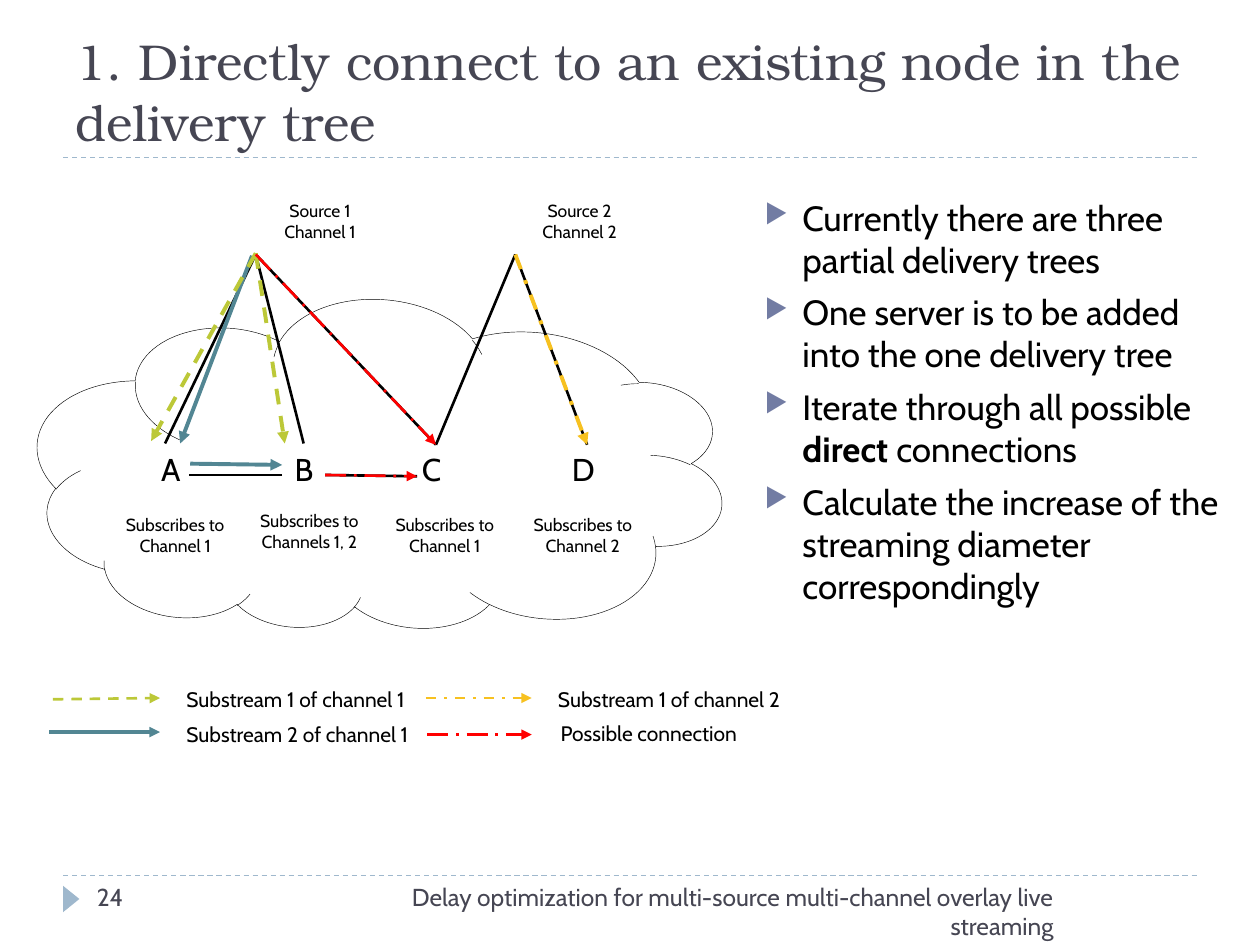
import pptx
import pptx.util
import pptx.dml.color
import pptx.enum.dml
import pptx.enum.shapes
import pptx.enum.text
import pptx.oxml.ns
from lxml import etree

COLORS = {
    "ink": "000000", "heading": "464653", "paper": "FFFFFF", "rule": "9FB8CD",
    "bullet": "727CA3", "teal": "528693", "lime": "BCC838", "amber": "F7C120",
    "red": "FF0000",
}
DASH = pptx.enum.dml.MSO_LINE
ALIGN = pptx.enum.text.PP_ALIGN
ANCHOR = pptx.enum.text.MSO_ANCHOR
SHAPE = pptx.enum.shapes.MSO_SHAPE
COLUMNS, ROWS = 10, 7.5


def rgb(name):
    return pptx.dml.color.RGBColor.from_string(COLORS[name])


def add_xml(parent, tag, **attrs):
    return etree.SubElement(parent, pptx.oxml.ns.qn(tag), attrs)


def write(p, text, size=10, color="ink", font="Cabin", bold=False):
    """Add one formatted run to a paragraph."""
    r = p.add_run()
    r.text = text
    r.font.size = pptx.util.Pt(size)
    r.font.name = font
    r.font.bold = bold
    r.font.color.rgb = rgb(color)


class Deck:
    """Holds the grid, the style and the current slide."""

    def __init__(self):
        self.prs = pptx.Presentation()
        self.prs.slide_width = pptx.util.Inches(10)
        self.prs.slide_height = pptx.util.Inches(7.5)
        self.s = self.prs.slides.add_slide(self.prs.slide_layouts[6])

    def grid(self, *values):
        """Turn alternating columns and rows into lengths."""
        units = (self.prs.slide_width / COLUMNS, self.prs.slide_height / ROWS)
        return [round(v * units[i % 2]) for i, v in enumerate(values)]

    def text(self, at, lines, align=ALIGN.LEFT, anchor=ANCHOR.TOP, **style):
        tf = self.s.shapes.add_textbox(*self.grid(*at)).text_frame
        tf.word_wrap = True
        tf.vertical_anchor = anchor
        for i, line in enumerate(lines):
            p = tf.paragraphs[0] if i == 0 else tf.add_paragraph()
            p.alignment = align
            write(p, line, **style)

    def bullets(self, at, items, size, gap):
        tf = self.s.shapes.add_textbox(*self.grid(*at)).text_frame
        tf.word_wrap = True
        indent = pptx.util.Inches(0.3)
        for i, runs in enumerate(items):
            p = tf.paragraphs[0] if i == 0 else tf.add_paragraph()
            pPr = p._p.get_or_add_pPr()
            pPr.set("marL", str(indent))
            pPr.set("indent", str(-indent))
            add_xml(add_xml(pPr, "a:buClr"), "a:srgbClr", val=COLORS["bullet"])
            add_xml(pPr, "a:buSzPct", val="76000")
            add_xml(pPr, "a:buChar", char="▶")
            if i:
                p.space_before = pptx.util.Pt(gap)
            for text, bold in runs:
                write(p, text, size=size, bold=bold)

    def line(self, start, end, color="ink", width=1.5, dash=None, arrow=False):
        kind = pptx.enum.shapes.MSO_CONNECTOR.STRAIGHT
        sp = self.s.shapes.add_connector(kind, *self.grid(*start, *end))
        sp.line.color.rgb = rgb(color)
        sp.line.width = pptx.util.Pt(width)
        if dash:
            sp.line.dash_style = dash
        if arrow:
            add_xml(sp.line._get_or_add_ln(), "a:tailEnd", type="triangle")
        add_xml(sp._element.spPr, "a:effectLst")

    def shape(self, kind, at, fill, rotation=0, outline=None):
        sp = self.s.shapes.add_shape(kind, *self.grid(*at))
        sp.shadow.inherit = False
        sp.rotation = rotation
        sp.fill.solid()
        sp.fill.fore_color.rgb = rgb(fill)
        if outline:
            sp.line.color.rgb = rgb(outline)
            sp.line.width = pptx.util.Pt(0.25)
        else:
            sp.line.fill.background()


def main():
    deck = Deck()

    # Frame: rules, page marker, title and footer
    for y in (1.25, 6.95):
        deck.line((0.5, y), (9.5, y), "rule", 0.75, DASH.DASH)
    deck.shape(SHAPE.ISOSCELES_TRIANGLE, (0.46, 7.07, 0.21, 0.13), "rule", 90)
    deck.text((0.5, 0.17, 9, 1.08),
              ["1. Directly connect to an existing node in the delivery tree"],
              anchor=ANCHOR.BOTTOM, size=28.8, color="heading",
              font="TeX Gyre Bonum")
    deck.text((0.67, 6.95, 2.17, 0.4), ["24"], size=14, color="heading")
    deck.text((2.44, 6.95, 6.02, 0.4),
              ["Delay optimization for multi-source multi-channel overlay live streaming"],
              align=ALIGN.RIGHT, size=14, color="heading")

    # Network cloud and its plain links
    deck.shape(SHAPE.CLOUD, (0.29, 2.39, 5.45, 2.65), "paper", 184.8, "ink")
    source_1, source_2 = (2.03, 2.02), (4.09, 2.02)
    a, b, c, d = (1.31, 3.52), (2.41, 3.52), (3.46, 3.53), (4.66, 3.53)
    b_right, c_left = (2.58, 3.77), (3.31, 3.78)
    links = [(source_1, a), (source_1, b), (source_1, c), (source_2, c),
             (source_2, d), ((2.24, 3.77), (1.5, 3.77)), (c_left, b_right)]
    for start, end in links:
        deck.line(start, end)

    # Source and subscription labels
    labels = [
        (2.09, 1.54, 0.9, ["Source 1", "Channel 1"]),
        (4.15, 1.54, 0.9, ["Source 2", "Channel 2"]),
        (0.89, 4.03, 1, ["Subscribes to", "Channel 1"]),
        (1.95, 4, 1.01, ["Subscribes to", "Channels 1, 2"]),
        (3, 4.03, 1.06, ["Subscribes to", "Channel 1"]),
        (4.07, 4.03, 1.11, ["Subscribes to Channel 2"]),
    ]
    for x, y, width, lines in labels:
        deck.text((x, y, width, 0.44), lines, align=ALIGN.CENTER)

    # Streams between the nodes
    streams = [
        ((2, 2.03), (1.43, 3.52), "teal", 2.25, None),
        ((1.51, 3.68), (2.24, 3.69), "teal", 2.25, None),
        ((2.03, 2.01), (1.2, 3.5), "lime", 2.25, DASH.DASH),
        ((2.03, 2.01), (2.26, 3.52), "lime", 2.25, DASH.DASH),
        (source_2, d, "amber", 2.25, DASH.DASH_DOT),
        (b_right, c_left, "red", 1.5, DASH.LONG_DASH_DOT),
        (source_1, c, "red", 1.5, DASH.LONG_DASH_DOT),
    ]
    for stream in streams:
        deck.line(*stream, arrow=True)

    # Node names
    for name, x in zip("ABCD", (1.18, 2.24, 3.25, 4.44)):
        deck.text((x, 3.52, 0.4, 0.4), [name], size=18)

    # Legend
    legend = [
        ((0.42, 5.55), (1.27, 5.54), "lime", 1.5, DASH.DASH,
         (1.38, 5.4), "Substream 1 of channel 1"),
        ((0.39, 5.81), (1.27, 5.81), "teal", 2, None,
         (1.38, 5.68), "Substream 2 of channel 1"),
        ((3.38, 5.54), (4.22, 5.54), "amber", 1.5, DASH.DASH_DOT,
         (4.33, 5.4), "Substream 1 of channel 2"),
        ((3.39, 5.83), (4.22, 5.83), "red", 1.5, DASH.LONG_DASH_DOT,
         (4.35, 5.67), "Possible connection"),
    ]
    for *key, corner, caption in legend:
        deck.line(*key, arrow=True)
        deck.text((*corner, 2.21, 0.3), [caption], size=12)

    # Explanation
    deck.bullets((5.97, 1.51, 3.85, 3.53), [
        [("Currently there are three partial delivery trees", False)],
        [("One server is to be added into the one delivery tree", False)],
        [("Iterate through all possible ", False), ("direct ", True),
         ("connections", False)],
        [("Calculate the increase of the streaming diameter correspondingly", False)],
    ], size=20, gap=6)

    deck.prs.save("out.pptx")


if __name__ == "__main__":
    main()
